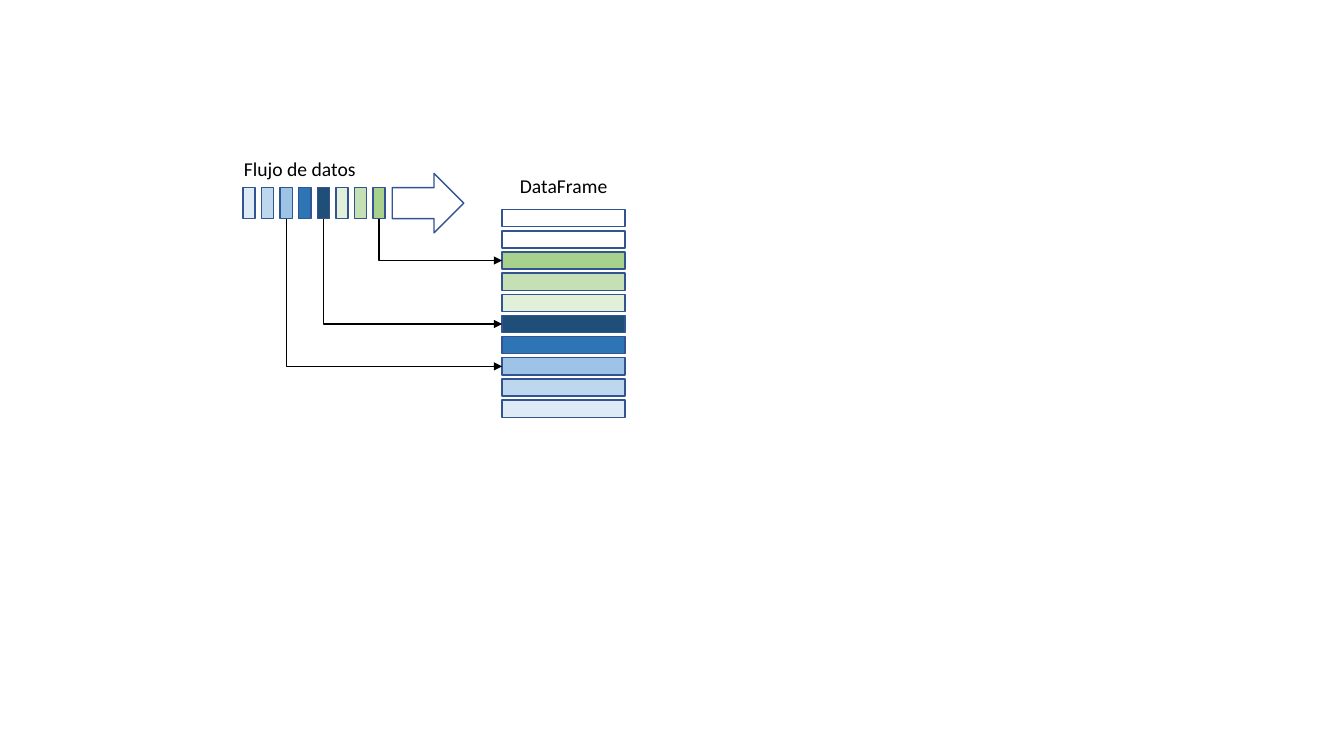
from dataclasses import dataclass

from lxml import etree
from pptx import Presentation, util as u
from pptx.dml.color import RGBColor
from pptx.enum import shapes, text
from pptx.oxml import ns

BLUES = ["DEEBF7", "BDD7EE", "9DC3E6", "2E75B6", "1F4E79"]
GREENS = ["E2F0D9", "C5E0B4", "A9D18E"]
STREAM_COLORS = BLUES + GREENS
ROW_COLORS = ["FFFFFF"] * 2 + STREAM_COLORS[::-1]
LINKED_COLORS = ["A9D18E", "1F4E79", "9DC3E6"]
OUTLINE = "325491"


@dataclass(frozen=True)
class Box:
    left: float
    top: float
    width: float
    height: float

    def emu(self) -> list[int]:
        return [u.Inches(v) for v in (self.left, self.top, self.width, self.height)]


@dataclass(frozen=True)
class Strip:
    """Equal cells, spread from the first one over a span in one direction."""
    first: Box
    colors: list[str]
    span_x: float = 0
    span_y: float = 0

    def cell(self, i: int) -> Box:
        share = i / (len(self.colors) - 1)
        f = self.first
        return Box(f.left + share * self.span_x, f.top + share * self.span_y,
                   f.width, f.height)


def color(value: str) -> RGBColor:
    return RGBColor.from_string(value)


def add_shape(s, kind, box: Box, fill: str):
    sp = s.shapes.add_shape(kind, *box.emu())
    sp.shadow.inherit = False
    sp.fill.solid()
    sp.fill.fore_color.rgb = color(fill)
    sp.line.color.rgb = color(OUTLINE)
    sp.line.width = u.Pt(1)
    return sp


def add_strip(s, strip: Strip) -> dict:
    """Draw the cells and return them by colour."""
    return {c: add_shape(s, shapes.MSO_SHAPE.RECTANGLE, strip.cell(i), c)
            for i, c in enumerate(strip.colors)}


def add_label(s, words: str, box: Box, *, size: float = 14, font: str = "Calibri",
              fill: str = "000000", align=text.PP_ALIGN.LEFT):
    sp = s.shapes.add_textbox(*box.emu())
    tf = sp.text_frame
    tf.word_wrap = True
    tf.auto_size = text.MSO_AUTO_SIZE.SHAPE_TO_FIT_TEXT
    p = tf.paragraphs[0]
    p.alignment = align
    r = p.add_run()
    r.text = words
    r.font.size, r.font.name = u.Pt(size), font
    r.font.color.rgb = color(fill)
    return sp


def add_link(s, source, target):
    """Arrow going down from the source cell, then right into the target row."""
    x, y = source.left + source.width // 2, source.top + source.height
    right, down = target.left - x, target.top + target.height // 2 - y
    c = s.shapes.add_connector(shapes.MSO_CONNECTOR.ELBOW, x, y, x + right, y + down)
    c.begin_connect(source, 2)
    c.end_connect(target, 1)
    c.line.color.rgb = color("000000")
    c.line.width = u.Pt(1)

    # A single bend, turned so that the first leg is vertical
    pr = c._element.spPr
    pr.find(ns.qn("a:prstGeom")).set("prst", "bentConnector2")
    xfrm = pr.find(ns.qn("a:xfrm"))
    xfrm.set("rot", str(270 * 60000))
    xfrm.set("flipH", "1")
    c.left, c.top = x + (right - down) // 2, y + (down - right) // 2
    c.width, c.height = down, right

    etree.SubElement(pr.find(ns.qn("a:ln")), ns.qn("a:tailEnd"), type="triangle")
    etree.SubElement(pr, ns.qn("a:effectLst"))


prs = Presentation()
prs.slide_width, prs.slide_height = u.Inches(13.33), u.Inches(7.5)
s = prs.slides.add_slide(prs.slide_layouts[6])

# Data stream and its arrow
stream = add_strip(s, Strip(Box(2.41, 1.86, 0.12, 0.31), STREAM_COLORS, span_x=1.29))
arrow = add_shape(s, shapes.MSO_SHAPE.RIGHT_ARROW, Box(3.89, 1.72, 0.71, 0.59), "FFFFFF")
arrow.adjustments[0], arrow.adjustments[1] = 0.52, 0.5

# DataFrame rows
rows = add_strip(s, Strip(Box(4.98, 2.08, 1.22, 0.17), ROW_COLORS, span_y=1.89))

# Links from stream cells to rows of the same colour
for c in LINKED_COLORS:
    add_link(s, stream[c], rows[c])

# Labels
add_label(s, "Flujo de datos", Box(2.32, 1.51, 2.19, 0.34))
add_label(s, "DataFrame", Box(4.98, 1.68, 1.22, 0.34), align=text.PP_ALIGN.CENTER)

prs.save("out.pptx")
